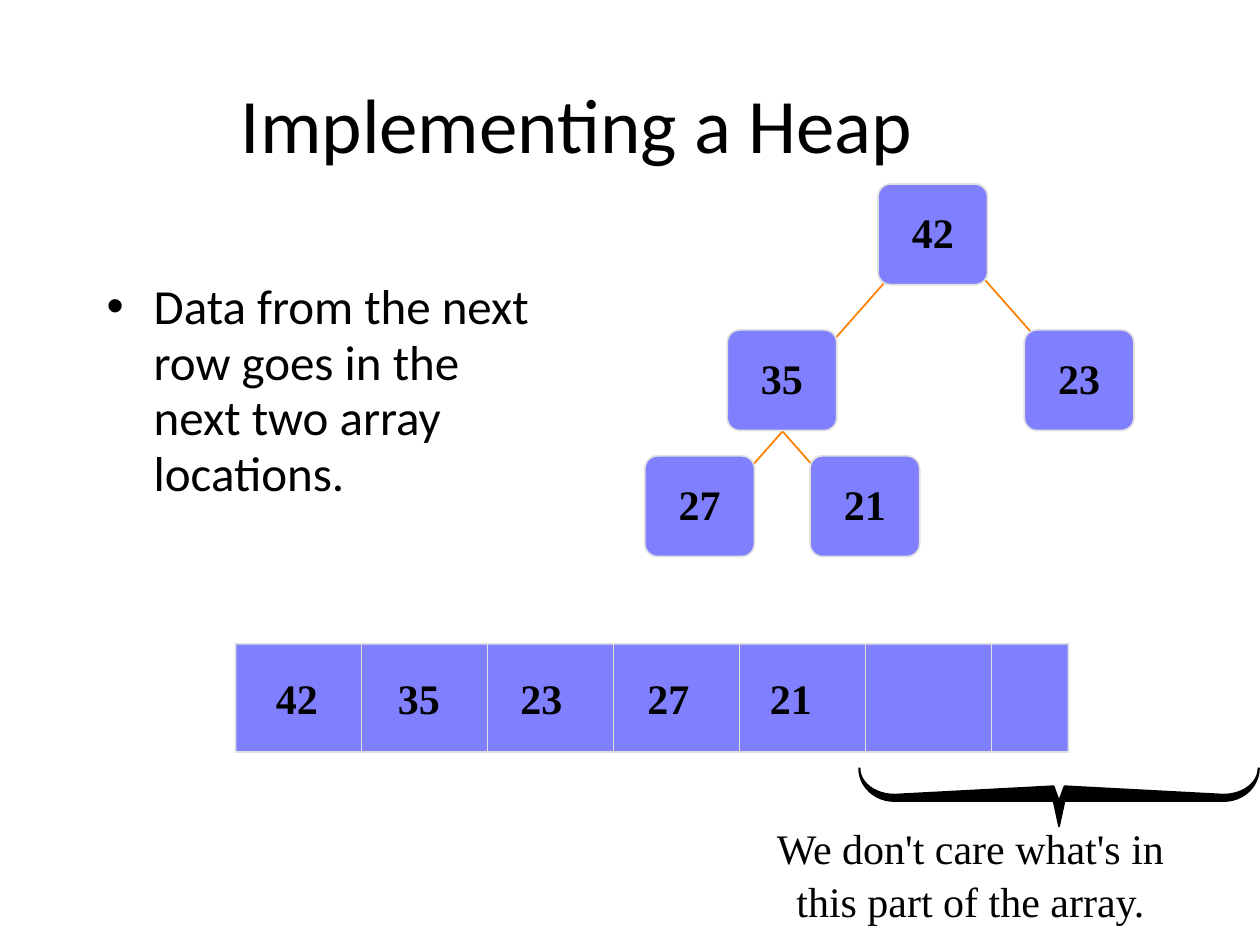
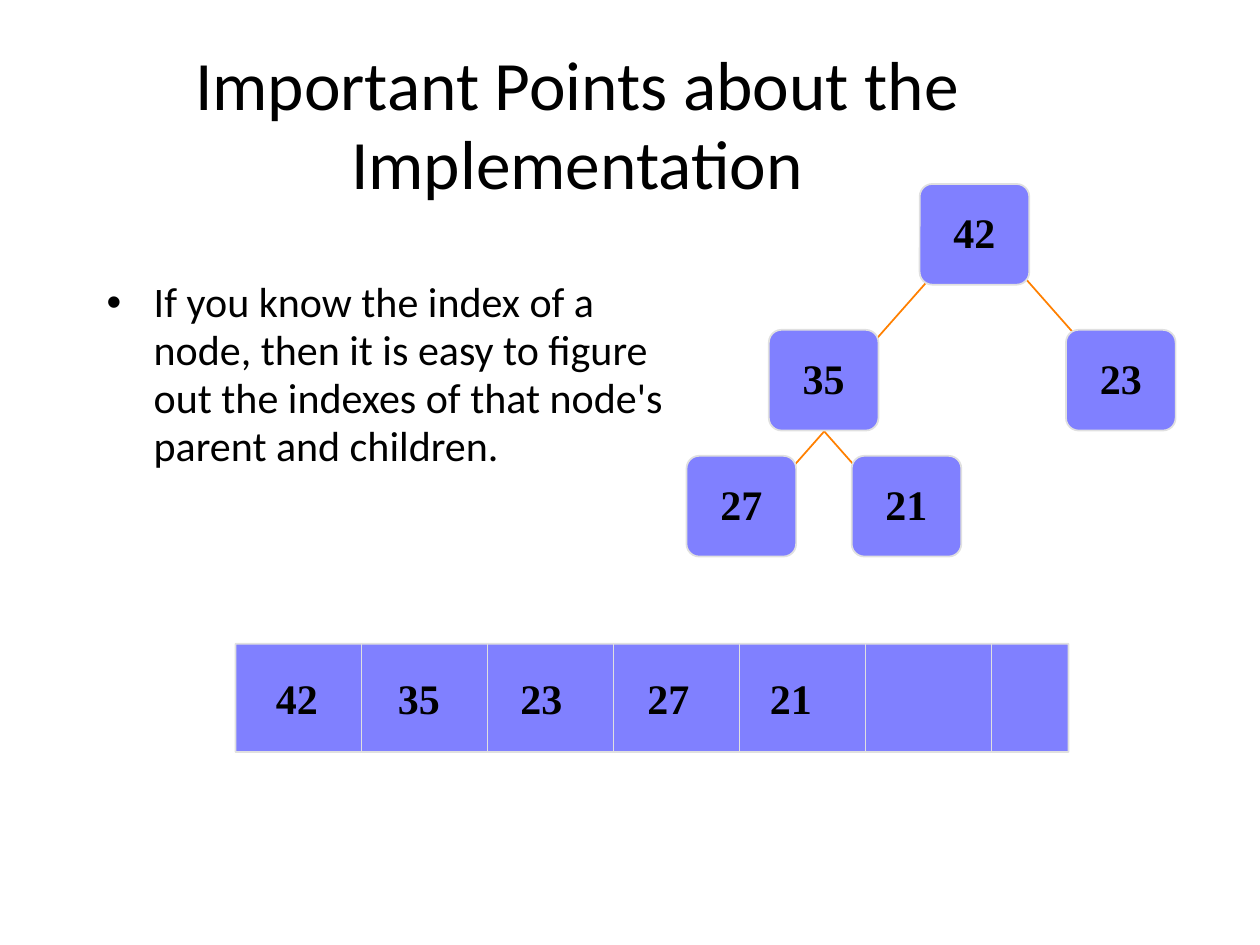
from dataclasses import dataclass
from math import cos, pi, sin

from lxml.etree import SubElement
from pptx import Presentation
from pptx.dml.color import RGBColor as Rgb
from pptx.enum.shapes import MSO_CONNECTOR as Link, MSO_SHAPE as Shape
from pptx.enum.text import MSO_ANCHOR as Anchor, PP_ALIGN as Align
from pptx.oxml.ns import qn
from pptx.util import Cm, Pt


@dataclass(frozen=True)
class Theme:
    ink: Rgb = Rgb(0, 0, 0)
    fill: Rgb = Rgb(0x80, 0x80, 0xFF)
    rim: Rgb = Rgb(0xE0, 0xE0, 0xE0)
    edge: Rgb = Rgb(0xFF, 0x80, 0x00)
    sans: str = "Calibri"
    serif: str = "Times New Roman"
    label: float = 24
    line: float = 1
    lead: float = 0.95


LOOK = Theme()
LABEL = {"name": LOOK.serif, "size": Pt(LOOK.label), "bold": True}

# Heap contents in array order, with node corners in cm
NODES = {"42": (17.7, 3.71), "35": (14.66, 6.65), "23": (20.65, 6.65),
         "27": (13, 9.19), "21": (16.33, 9.19)}
# Edge starts and the side each one falls to
EDGES = [(17.88, 5.64, -1), (19.74, 5.51, 1), (16.23, 8.18, -1), (15.32, 8.18, 1)]
SLOTS = [5.31, 7.77, 10.24, 12.8, 15.27]


def assign(item, **values):
    for name, value in values.items():
        setattr(item, name, value)


def write(frame, lines, font, **style):
    """Fill a text frame, one paragraph per line."""
    for num, line in enumerate(lines):
        para = frame.paragraphs[0] if num == 0 else frame.add_paragraph()
        assign(para, **{"line_spacing": LOOK.lead, **style})
        run = para.add_run()
        run.text = line
        assign(run.font, **font)
        run.font.color.rgb = LOOK.ink


def add_text(slide, area, lines, font, anchor=Anchor.TOP, wrap=True, **style):
    frame = slide.shapes.add_textbox(*map(Cm, area)).text_frame
    assign(frame, word_wrap=wrap, vertical_anchor=anchor)
    write(frame, lines, font, **style)
    return frame


def add_title(slide, text, size, top, height):
    add_text(slide, (0.84, top, 21.59, height), [text],
             {"name": LOOK.sans, "size": Pt(size)}, Anchor.MIDDLE,
             alignment=Align.CENTER)


def add_point(slide, text, size, width, gap):
    frame = add_text(slide, (1.9, 5.51, width, 11.43), [text],
                     {"name": LOOK.sans, "size": Pt(size)}, space_before=Pt(gap))
    props = frame.paragraphs[0]._p.get_or_add_pPr()
    for key, value in {"marL": Cm(0.95), "indent": -Cm(0.95)}.items():
        props.set(key, str(int(value)))
    SubElement(props, qn("a:buFont")).set("typeface", "Arial")
    SubElement(props, qn("a:buChar")).set("char", "•")


def paint(shape, fill, rim):
    shape.shadow.inherit = False
    shape.fill.solid()
    shape.fill.fore_color.rgb = fill
    shape.line.color.rgb = rim
    shape.line.width = Pt(LOOK.line)


def add_box(slide, area, bend):
    box = slide.shapes.add_shape(Shape.ROUNDED_RECTANGLE, *map(Cm, area))
    box.adjustments[0] = bend
    paint(box, LOOK.fill, LOOK.rim)
    return box


def add_line(slide, ends, color):
    line = slide.shapes.add_connector(Link.STRAIGHT, *map(Cm, ends))
    line.line.color.rgb = color
    line.line.width = Pt(LOOK.line)
    SubElement(line._element.spPr, qn("a:effectLst"))


def add_tree(slide, shift=0):
    for x, y, side in EDGES:
        x += shift
        add_line(slide, (x, y, x + 1.57 * side, y + 1.78), LOOK.edge)
    for text, (x, y) in NODES.items():
        node = add_box(slide, (x + shift, y, 2.21, 2.03), 0.126)
        node.text_frame.vertical_anchor = Anchor.MIDDLE
        write(node.text_frame, [text], LABEL, alignment=Align.CENTER)


def add_array(slide):
    add_box(slide, (4.75, 12.98, 16.79, 2.18), 0.002)
    for num in range(6):
        x = 7.29 + 2.54 * num
        add_line(slide, (x, 12.97, x, 15.16), LOOK.rim)
    for x, text in zip(SLOTS, NODES):
        add_text(slide, (x, 13.51, 1.35, 1.27), [text], LABEL, wrap=False)


def add_brace(slide, mid, top):
    """Draw a brace that points down, its left half mirroring the right."""
    turns = [pi / 2 * step / 12 for step in range(13)]
    outer = [(3.32 + 0.71 * sin(t), 0.66 * cos(t)) for t in turns]
    inner = [(3.32 + 0.7 * sin(t), 0.53 * cos(t)) for t in reversed(turns)]
    half = [(0, 1.17), (0.11, 0.66), *outer, *inner, (0.11, 0.36), (0, 0.66)]
    dots = half + [(-x, y) for x, y in reversed(half)]
    first, *rest = [(Cm(mid + x), Cm(top + y)) for x, y in dots]
    pen = slide.shapes.build_freeform(*first)
    pen.add_line_segments(rest, close=True)
    paint(pen.convert_to_shape(), LOOK.ink, LOOK.ink)


def main():
    deck = Presentation()
    assign(deck, slide_width=Cm(25.4), slide_height=Cm(19.05))
    blank = deck.slide_layouts[6]

    # Filling the array
    slide = deck.slides.add_slide(blank)
    add_title(slide, "Implementing a Heap", 44, 0.97, 3.18)
    add_point(slide, "Data from the next row goes in the next two array locations.",
              28, 9.45, 7)
    add_array(slide)
    add_tree(slide)
    add_brace(slide, 21.35, 15.49)
    add_text(slide, (14.22, 16.46, 10.69, 2.29),
             ["We don't care what's in", "this part of the array."],
             {**LABEL, "bold": False}, alignment=Align.CENTER,
             line_spacing=1.0, space_before=Pt(1.5))

    # Finding parents and children
    slide = deck.slides.add_slide(blank)
    add_title(slide, "Important Points about the Implementation", 39.6, 0.66, 3.76)
    add_point(slide, "If you know the index of a node, then it is easy to figure out "
              "the indexes of that node's parent and children.", 24, 12.37, 6)
    add_array(slide)
    add_tree(slide, 0.84)

    deck.save("out.pptx")


if __name__ == "__main__":
    main()
